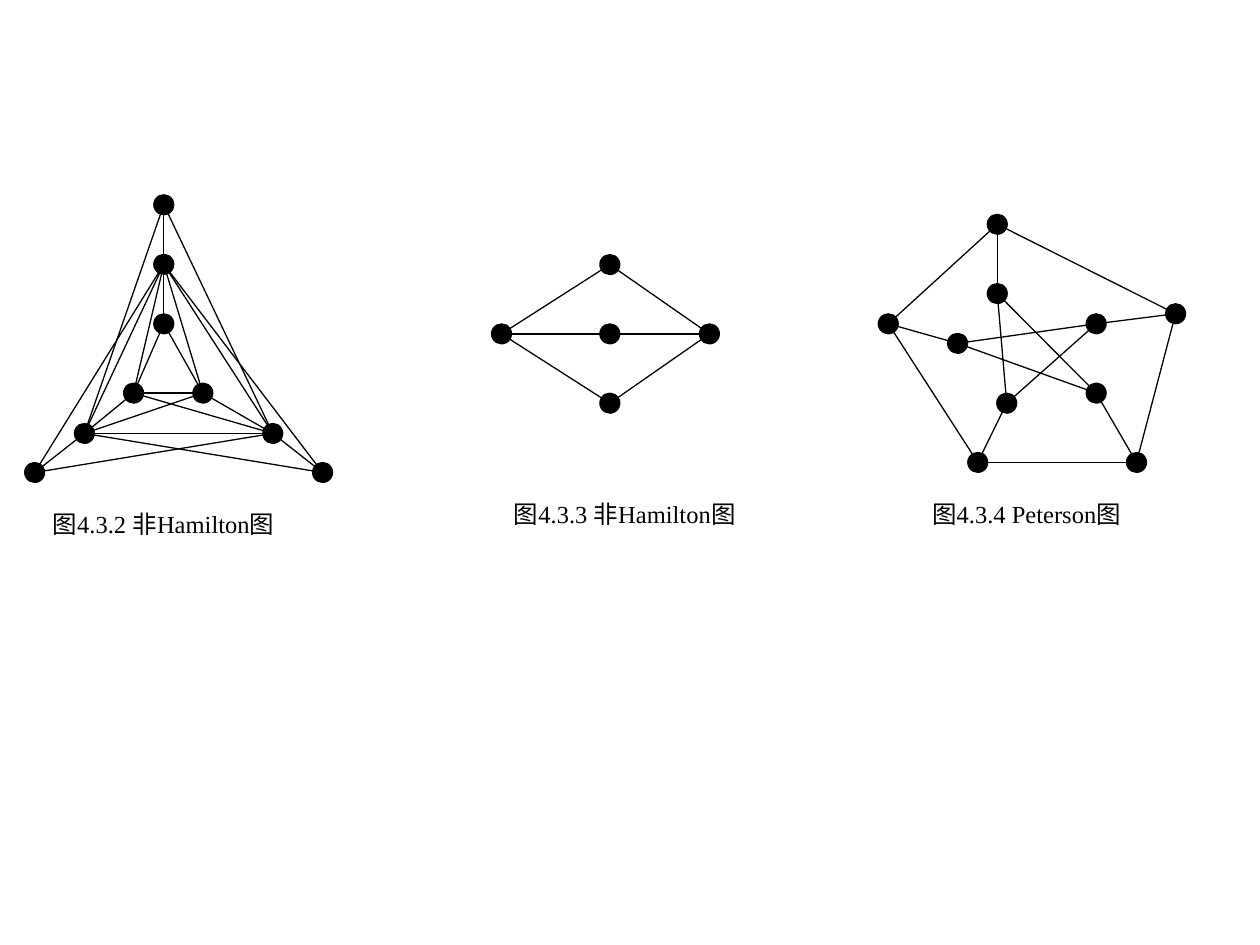
from lxml import etree
from pptx import Presentation
from pptx import util as u
from pptx.dml.color import RGBColor
from pptx.enum import shapes, text
from pptx.oxml.ns import qn

BLACK = RGBColor(0, 0, 0)
WHITE = RGBColor(255, 255, 255)


class Board:
    """Style and current slide; lengths are columns and rows of a 100 x 75 grid."""
    font, size, stroke, dot = "Times New Roman", 14, 0.75, 1.58

    def __init__(self, deck):
        self.cell = deck.slide_width / 100
        self.slide = deck.slides.add_slide(deck.slide_layouts[6])
        self.slide.background.fill.solid()
        self.slide.background.fill.fore_color.rgb = WHITE

    def grid(self, *cells):
        return [u.Emu(round(n * self.cell)) for n in cells]

    def pen(self, line):
        line.color.rgb = BLACK
        line.width = u.Pt(self.stroke)

    def node(self, x, y):
        half = self.dot / 2
        dot = self.slide.shapes.add_shape(
            shapes.MSO_SHAPE.OVAL,
            *self.grid(x - half, y - half, self.dot, self.dot))
        dot.shadow.inherit = False
        dot.fill.solid()
        dot.fill.fore_color.rgb = BLACK
        self.pen(dot.line)

    def edge(self, start, end):
        line = self.slide.shapes.add_connector(
            shapes.MSO_CONNECTOR.STRAIGHT, *self.grid(*start, *end))
        self.pen(line.line)
        etree.SubElement(line._element.spPr, qn("a:effectLst"))

    def graph(self, nodes, edges):
        for spot in nodes.values():
            self.node(*spot)
        for a, b in edges.split():
            self.edge(nodes[a], nodes[b])

    def caption(self, words, box, indent=0):
        frame = self.slide.shapes.add_textbox(*self.grid(*box)).text_frame
        frame.word_wrap = True
        frame.auto_size = text.MSO_AUTO_SIZE.SHAPE_TO_FIT_TEXT
        frame.text = words
        para = frame.paragraphs[0]
        para._p.get_or_add_pPr().set("marL", str(self.grid(indent)[0]))
        font = para.runs[0].font
        font.name, font.size = self.font, u.Pt(self.size)
        font.color.rgb = BLACK


# Nested triangles: a-c down the axis, then left and right pairs
TRIANGLE = {
    "a": (13, 16.25), "b": (13, 20.98), "c": (13, 25.7),
    "d": (10.6, 31.2), "e": (16.1, 31.2), "f": (6.7, 34.4),
    "g": (21.65, 34.4), "h": (25.6, 37.5), "i": (2.75, 37.5)}
TRIANGLE_EDGES = ("ab bc cd ce df fi eg gh af bi bf "
                  "ag bh bg be bd de ig fh fe dg fg")

# Diamond with a middle node
DIAMOND = {
    "t": (48.4, 21), "r": (56.3, 26.5), "l": (39.8, 26.5),
    "m": (48.4, 26.5), "b": (48.4, 32)}
DIAMOND_EDGES = "lt tr lb br lr"

# Outer ring A-E, inner star a-e
PETERSON = {
    "A": (79.15, 17.8), "B": (70.5, 25.7), "E": (93.3, 24.9),
    "C": (77.6, 36.7), "c": (79.9, 32), "b": (76, 27.25),
    "a": (79.15, 23.3), "D": (90.2, 36.7), "d": (87, 31.2),
    "e": (87, 25.7)}
PETERSON_EDGES = "AB AE BC CD ED be bd ac ad ec cC Bb Aa eE dD"


def main():
    deck = Presentation()
    deck.slide_width, deck.slide_height = u.Inches(10), u.Inches(7.5)
    board = Board(deck)

    # Graphs
    board.graph(TRIANGLE, TRIANGLE_EDGES)
    board.graph(DIAMOND, DIAMOND_EDGES)
    board.graph(PETERSON, PETERSON_EDGES)

    # Captions
    board.caption("图4.3.2 非Hamilton图", (2, 39.9, 26, 3.4), indent=1.2)
    board.caption("图4.3.3 非Hamilton图", (39.8, 39.1, 19.7, 5.7))
    board.caption("图4.3.4 Peterson图", (71.3, 39.1, 23.6, 3.4), indent=1.7)

    deck.save("out.pptx")


if __name__ == "__main__":
    main()
